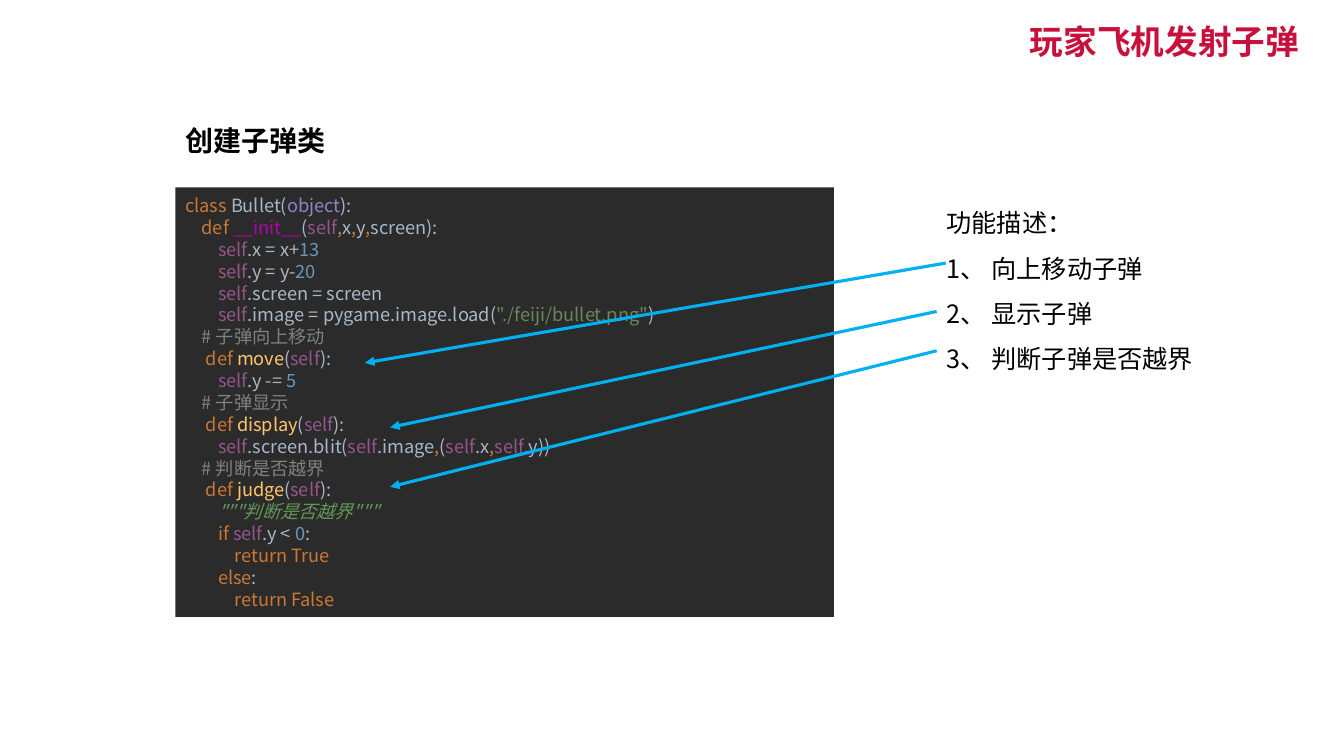
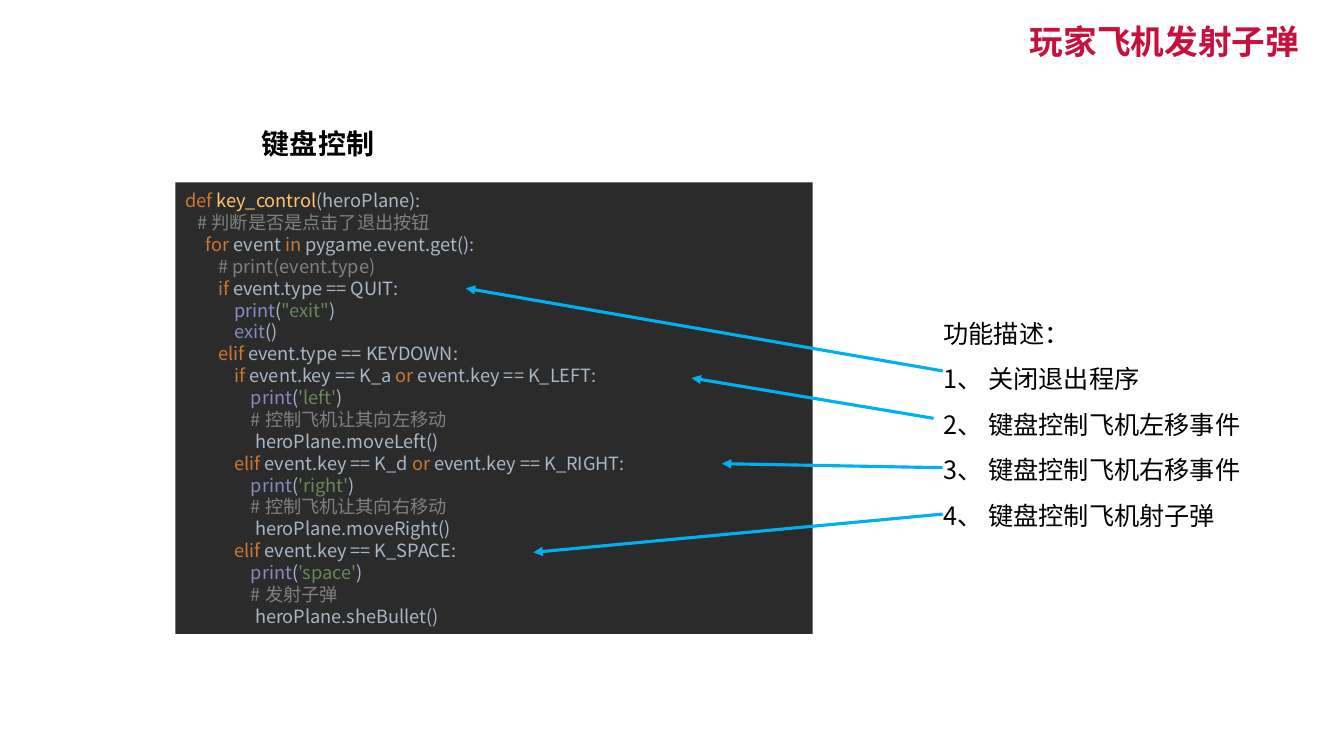
from dataclasses import dataclass
from functools import partial
from typing import NamedTuple

from lxml.etree import SubElement
from pptx import Presentation
from pptx.dml.color import RGBColor
from pptx.enum.shapes import MSO_CONNECTOR as Connector, MSO_SHAPE as Shape
from pptx.enum.text import MSO_ANCHOR as Anchor, MSO_AUTO_SIZE as AutoSize, PP_ALIGN as Align
from pptx.oxml.ns import qn
from pptx.util import Inches, Pt

# Shared look
FONT = "Noto Sans CJK SC"
CRIMSON = RGBColor(0xC8, 0x10, 0x3D)
BLACK = RGBColor(0x00, 0x00, 0x00)
ARROW_BLUE = RGBColor(0x00, 0xB0, 0xF0)
EDITOR_DARK = RGBColor(0x2B, 0x2B, 0x2B)
CODE_PLAIN = RGBColor(0xA9, 0xB7, 0xC6)
CODE_KEYWORD = RGBColor(0xCC, 0x78, 0x32)
CODE_BUILTIN = RGBColor(0x88, 0x88, 0xC6)
CODE_MAGIC = RGBColor(0xB2, 0x00, 0xB2)
CODE_SELF = RGBColor(0x94, 0x55, 0x8D)
CODE_NUMBER = RGBColor(0x68, 0x97, 0xBB)
CODE_STRING = RGBColor(0x6A, 0x87, 0x59)
CODE_COMMENT = RGBColor(0x80, 0x80, 0x80)
CODE_FUNCTION = RGBColor(0xFF, 0xC6, 0x6D)
CODE_DOCSTRING = RGBColor(0x62, 0x97, 0x55)

TITLE_FORMAT = {"size": Pt(24), "bold": True}
HEADING_FORMAT = {"size": Pt(20), "bold": True}
FEATURE_FORMAT = {"size": Pt(18)}
HEADLINE_SPACING = {"line_spacing": 0.9, "space_before": Pt(10)}
FEATURE_SPACING = {"line_spacing": 1.5}
CODE_LEFT = 1.74
COLUMN_WIDTH = Inches(0.65) / 16  # one character of code indent
DECK_TITLE = "玩家飞机发射子弹"


class Box(NamedTuple):
    left: float
    top: float
    width: float
    height: float


class Arrow(NamedTuple):
    start: tuple[float, float]
    end: tuple[float, float]


class Token(NamedTuple):
    text: str
    color: RGBColor = CODE_PLAIN
    italic: bool = False


class CodeLine(NamedTuple):
    column: int
    tokens: tuple[Token, ...]


@dataclass(frozen=True)
class Lesson:
    heading: str
    heading_box: Box
    code: list[CodeLine]
    code_box: Box
    features: list[str]
    features_box: Box
    arrows: list[Arrow]


# Code vocabulary
keyword = partial(Token, color=CODE_KEYWORD)
builtin = partial(Token, color=CODE_BUILTIN)
number = partial(Token, color=CODE_NUMBER)
string = partial(Token, color=CODE_STRING)
remark = partial(Token, color=CODE_COMMENT)
function = partial(Token, color=CODE_FUNCTION)
SELF = Token("self", CODE_SELF)
COMMA = keyword(",")
DEF = keyword("def ")


def line(column: int, *parts: Token | str) -> CodeLine:
    """Plain strings become tokens in the default code colour."""
    return CodeLine(column, tuple(Token(p) if isinstance(p, str) else p for p in parts))


def method(name: str) -> CodeLine:
    return line(5, DEF, function(name), "(", SELF, "):")


def printed(text: str, column: int = 16) -> CodeLine:
    return line(column, builtin("print"), "(", string(text), ")")


def key_test(word: str, letter: str, arrow_key: str) -> CodeLine:
    return line(12, keyword(word), f"event.key == {letter} ", keyword("or "),
                f"event.key == {arrow_key}:")


BULLET_CODE = [
    line(0, keyword("class "), "Bullet(", builtin("object"), "):"),
    line(4, DEF, Token("__init__", CODE_MAGIC), "(", SELF, COMMA, "x", COMMA, "y", COMMA,
         "screen):"),
    line(8, SELF, ".x = x+", number("13")),
    line(8, SELF, ".y = y-", number("20")),
    line(8, SELF, ".screen = screen"),
    line(8, SELF, ".image = pygame.image.load(", string('"./feiji/bullet.png"'), ")"),
    line(4, remark("# 子弹向上移动")),
    method("move"),
    line(8, SELF, ".y -= ", number("5")),
    line(4, remark("# 子弹显示")),
    method("display"),
    line(8, SELF, ".screen.blit(", SELF, ".image", COMMA, "(", SELF, ".x", COMMA, SELF, ".y))"),
    line(4, remark("# 判断是否越界")),
    method("judge"),
    line(8, Token('"""判断是否越界"""', CODE_DOCSTRING, True)),
    line(8, keyword("if "), SELF, ".y < ", number("0"), ":"),
    line(12, keyword("return True")),
    line(8, keyword("else"), ":"),
    line(12, keyword("return False")),
]

KEYBOARD_CODE = [
    line(0, DEF, function("key_control"), "(heroPlane):"),
    line(3, remark("# 判断是否是点击了退出按钮")),
    line(5, keyword("for "), "event ", keyword("in "), "pygame.event.get():"),
    line(8, remark("# print(event.type)")),
    line(8, keyword("if "), "event.type == QUIT:"),
    printed('"exit"', 12),
    line(12, builtin("exit"), "()"),
    line(8, keyword("elif "), "event.type == KEYDOWN:"),
    key_test("if ", "K_a", "K_LEFT"),
    printed("'left'"),
    line(16, remark("# 控制飞机让其向左移动")),
    line(17, "heroPlane.moveLeft()"),
    key_test("elif ", "K_d", "K_RIGHT"),
    printed("'right'"),
    line(16, remark("# 控制飞机让其向右移动")),
    line(17, "heroPlane.moveRight()"),
    line(12, keyword("elif "), "event.key == K_SPACE:"),
    printed("'space'"),
    line(16, remark("# 发射子弹")),
    line(17, "heroPlane.sheBullet()"),
]

LESSONS = [
    Lesson(
        "创建子弹类", Box(CODE_LEFT, 1.21, 2.13, 0.41),
        BULLET_CODE, Box(CODE_LEFT, 1.86, 6.53, 4.26),
        ["功能描述：", "1、 向上移动子弹", "2、 显示子弹", "3、 判断子弹是否越界"],
        Box(9.29, 1.86, 2.73, 1.92),
        [Arrow((9.38, 2.61), (3.62, 3.6)),
         Arrow((9.29, 3.09), (3.87, 4.24)),
         Arrow((9.29, 3.48), (3.87, 4.83))],
    ),
    Lesson(
        "键盘控制", Box(2.5, 1.24, 2.13, 0.56),
        KEYBOARD_CODE, Box(CODE_LEFT, 1.81, 6.32, 4.48),
        ["功能描述：", "1、 关闭退出程序", "2、 键盘控制飞机左移事件",
         "3、 键盘控制飞机右移事件", "4、 键盘控制飞机射子弹"],
        Box(9.26, 2.96, 3.23, 2.37),
        [Arrow((9.35, 3.68), (4.62, 2.86)),
         Arrow((9.26, 4.15), (6.86, 3.75)),
         Arrow((9.35, 4.64), (7.16, 4.6)),
         Arrow((9.35, 5.1), (5.29, 5.48))],
    ),
]


# Drawing
def apply(target, values: dict) -> None:
    for key, value in values.items():
        setattr(target, key, value)


def add_run(paragraph, text: str, color: RGBColor, values: dict) -> None:
    run = paragraph.add_run()
    run.text = text
    apply(run.font, {"name": FONT, **values})
    run.font.color.rgb = color
    SubElement(run.font._element, qn("a:ea"), typeface=FONT)


def next_paragraph(frame, index: int):
    return frame.add_paragraph() if index else frame.paragraphs[0]


def add_text(slide, box: Box, lines: list[str], color: RGBColor, font: dict,
             spacing: dict, wrap: bool = True) -> None:
    frame = slide.shapes.add_textbox(*map(Inches, box)).text_frame
    frame.word_wrap = wrap
    if not wrap:
        frame.auto_size = AutoSize.SHAPE_TO_FIT_TEXT
    for index, text in enumerate(lines):
        paragraph = next_paragraph(frame, index)
        apply(paragraph, spacing)
        add_run(paragraph, text, color, font)


def add_code(slide, box: Box, code: list[CodeLine]) -> None:
    panel = slide.shapes.add_shape(Shape.RECTANGLE, *map(Inches, box))
    panel.shadow.inherit = False
    panel.fill.solid()
    panel.fill.fore_color.rgb = EDITOR_DARK
    panel.line.fill.background()
    frame = panel.text_frame
    apply(frame, {"word_wrap": True, "vertical_anchor": Anchor.MIDDLE,
                  "auto_size": AutoSize.SHAPE_TO_FIT_TEXT})
    for index, (column, tokens) in enumerate(code):
        paragraph = next_paragraph(frame, index)
        paragraph.alignment = Align.LEFT
        properties = paragraph._p.get_or_add_pPr()
        properties.set("marL", str(round(column * COLUMN_WIDTH)))
        properties.set("indent", "0")
        for token in tokens:
            add_run(paragraph, token.text, token.color,
                    {"size": Pt(13), "italic": token.italic})


def add_arrow(slide, arrow: Arrow) -> None:
    pointer = slide.shapes.add_connector(
        Connector.STRAIGHT, *map(Inches, arrow.start + arrow.end))
    pointer.line.color.rgb = ARROW_BLUE
    pointer.line.width = Pt(2.25)
    SubElement(pointer.line._get_or_add_ln(), qn("a:tailEnd"), type="triangle")
    SubElement(pointer._element.spPr, qn("a:effectLst"))


def add_lesson(deck, lesson: Lesson) -> None:
    slide = deck.slides.add_slide(deck.slide_layouts[6])
    add_text(slide, Box(6.67, 0.2, 6.31, 0.41), [DECK_TITLE], CRIMSON, TITLE_FORMAT,
             {**HEADLINE_SPACING, "alignment": Align.RIGHT})
    add_text(slide, lesson.heading_box, [lesson.heading], BLACK, HEADING_FORMAT,
             HEADLINE_SPACING)
    add_text(slide, lesson.features_box, lesson.features, BLACK, FEATURE_FORMAT,
             FEATURE_SPACING, wrap=False)
    add_code(slide, lesson.code_box, lesson.code)
    for arrow in lesson.arrows:
        add_arrow(slide, arrow)


def main() -> None:
    deck = Presentation()
    deck.slide_width, deck.slide_height = Inches(13.33), Inches(7.5)
    for lesson in LESSONS:
        add_lesson(deck, lesson)
    deck.save("out.pptx")


if __name__ == "__main__":
    main()
